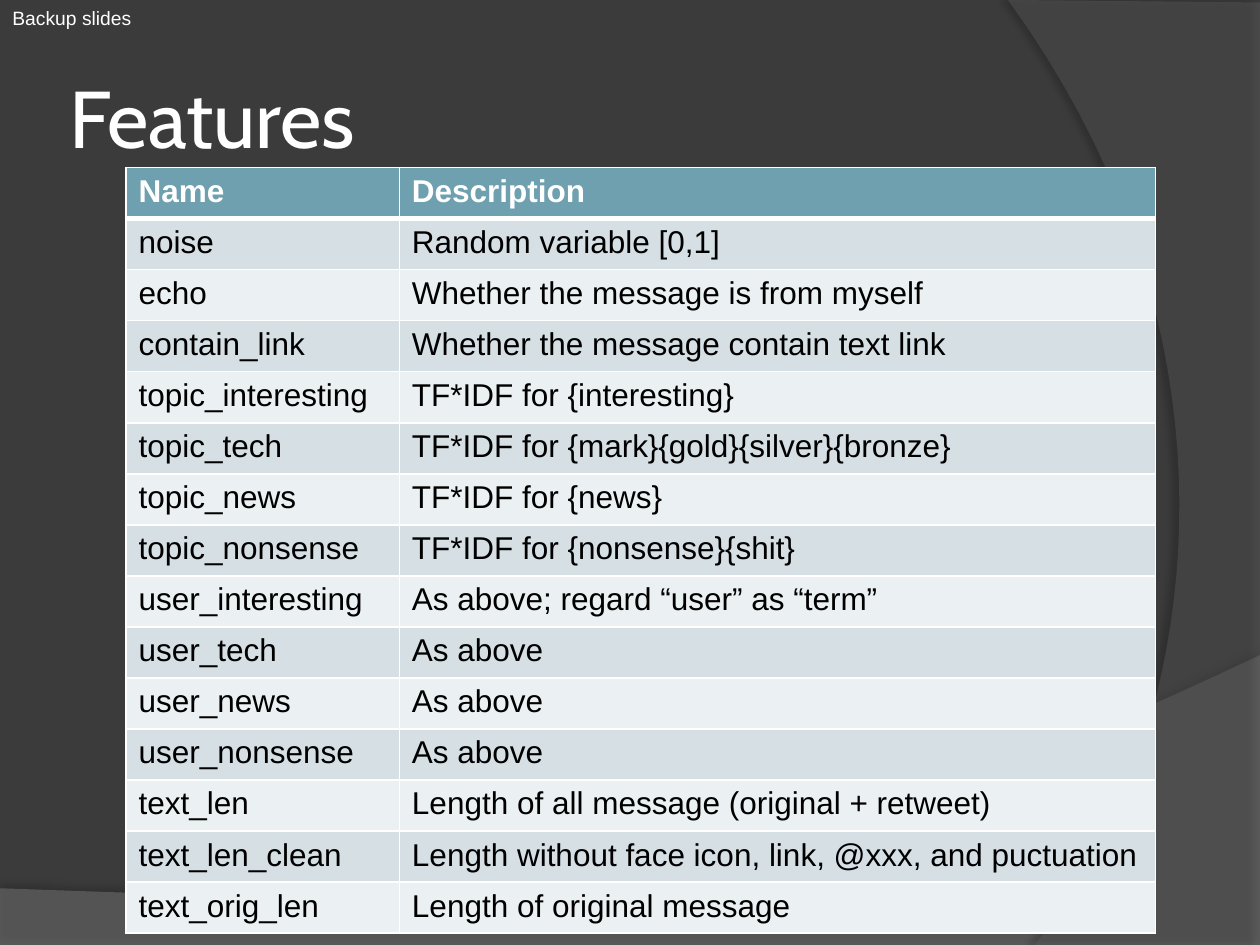
from lxml import etree
from pptx import Presentation
from pptx.dml.color import RGBColor
from pptx.enum.text import MSO_ANCHOR
from pptx.oxml import parse_xml
from pptx.oxml.ns import nsdecls, qn
from pptx.util import Inches, Pt

MIDDLE = MSO_ANCHOR.MIDDLE
WIDE, HIGH = 10, 7.5
STEPS = 40
COLORS = {
    "back": "3B3B3B", "wave": "7F7F7F", "arc": "5E5E5E",
    "white": "FFFFFF", "black": "000000",
    "head": "6EA0B0", "odd": "D5DFE4", "even": "EBF0F2",
}
COLS = [2.17, 6]
ROW = 6.08 / 15
ROWS = [
    ("Name", "Description"),
    ("noise", "Random variable [0,1]"),
    ("echo", "Whether the message is from myself"),
    ("contain_link", "Whether the message contain text link"),
    ("topic_interesting", "TF*IDF for {interesting}"),
    ("topic_tech", "TF*IDF for {mark}{gold}{silver}{bronze}"),
    ("topic_news", "TF*IDF for {news}"),
    ("topic_nonsense", "TF*IDF for {nonsense}{shit}"),
    ("user_interesting", "As above; regard “user” as “term”"),
    ("user_tech", "As above"),
    ("user_news", "As above"),
    ("user_nonsense", "As above"),
    ("text_len", "Length of all message (original + retweet)"),
    ("text_len_clean", "Length without face icon, link, @xxx, and puctuation"),
    ("text_orig_len", "Length of original message"),
]


def color(name):
    return RGBColor.from_string(COLORS[name])


def style(frame, size, font, tint, bold=False):
    for para in frame.paragraphs:
        for run in para.runs:
            run.font.size = Pt(size)
            run.font.name = font
            run.font.bold = bold
            run.font.color.rgb = color(tint)


def curve(a, b, c, d):
    """Points along a cubic Bezier curve, without its start."""
    points = []
    for step in range(1, STEPS + 1):
        t = step / STEPS
        u = 1 - t
        points.append(tuple(
            u**3 * p + 3 * u * u * t * q + 3 * u * t * t * r + t**3 * s
            for p, q, r, s in zip(a, b, c, d)))
    return points


def add_sheet(slide, points, tint, alpha, shade, dist, angle):
    """Translucent outline with a soft shadow."""
    spots = [(Inches(x), Inches(y)) for x, y in points]
    build = slide.shapes.build_freeform(*spots[0])
    build.add_line_segments(spots[1:], close=True)
    shape = build.convert_to_shape()
    shape.fill.solid()
    shape.fill.fore_color.rgb = color(tint)
    shape.line.fill.background()
    props = shape._element.spPr
    tone = props.find(qn("a:solidFill"))[0]
    etree.SubElement(tone, qn("a:alpha"), val=str(alpha * 1000))
    props.append(parse_xml(
        f'<a:effectLst {nsdecls("a")}><a:outerShdw blurRad="{Pt(4)}" '
        f'dist="{Pt(dist)}" dir="{angle * 60000}" algn="ctr" rotWithShape="0">'
        f'<a:srgbClr val="{COLORS["black"]}"><a:alpha val="{shade * 1000}"/>'
        '</a:srgbClr></a:outerShdw></a:effectLst>'))


def add_text(slide, box, text, size, font):
    shape = slide.shapes.add_textbox(*map(Inches, box))
    frame = shape.text_frame
    frame.word_wrap = True
    frame.text = text
    style(frame, size, font, "white")
    return frame


def set_edges(cell, base):
    """White cell borders; schema order puts them before the fill."""
    props = cell._tc.get_or_add_tcPr()
    for spot, side in enumerate("LRTB"):
        width = base if side == "B" else 1
        props.insert(spot, parse_xml(
            f'<a:ln{side} {nsdecls("a")} w="{Pt(width)}"><a:solidFill>'
            f'<a:srgbClr val="{COLORS["white"]}"/></a:solidFill></a:ln{side}>'))


def add_grid(slide, left, top):
    frame = slide.shapes.add_table(
        len(ROWS), len(COLS), Inches(left), Inches(top),
        Inches(sum(COLS)), Inches(ROW * len(ROWS)))
    table = frame.table
    for col, width in zip(table.columns, COLS):
        col.width = Inches(width)
    for i, texts in enumerate(ROWS):
        table.rows[i].height = Inches(ROW)
        head = i == 0
        tint = "head" if head else ("odd" if i % 2 else "even")
        for j, text in enumerate(texts):
            cell = table.cell(i, j)
            cell.text = text
            style(cell.text_frame, 18, "Arial",
                  "white" if head else "black", head)
            cell.fill.solid()
            cell.fill.fore_color.rgb = color(tint)
            set_edges(cell, 3 if head else 1)


def main():
    deck = Presentation()
    deck.slide_width, deck.slide_height = Inches(WIDE), Inches(HIGH)
    slide = deck.slides.add_slide(deck.slide_layouts[6])
    slide.background.fill.solid()
    slide.background.fill.fore_color.rgb = color("back")

    # Backdrop: wave along the bottom, arc down the right side
    wave = [(0, 7.05), (0, HIGH), (WIDE, HIGH), (WIDE, 5.2)]
    wave += curve(wave[-1], (5.59, 7.29), (3.91, 7.19), wave[0])
    add_sheet(slide, wave, "wave", 45, 35, 3.5, 270)
    arc = [(WIDE, 0.02), (WIDE, HIGH), (8.21, HIGH)]
    arc += curve(arc[-1], (9.35, 6.19), (10.18, 3), (8, 0))
    add_sheet(slide, arc, "arc", 40, 45, 4, 180)

    # Title
    title = add_text(slide, (0.5, 0.3, 8.17, 1.25), "Features", 46, "Cabin")
    title.vertical_anchor = MIDDLE
    title.margin_left = title.margin_right = Inches(0.05)

    # Feature table
    add_grid(slide, 1, 1.33)

    # Section label
    add_text(slide, (0, 0, 1.33, 0.29), "Backup slides", 11, "Arial")
    deck.save("out.pptx")


if __name__ == "__main__":
    main()
